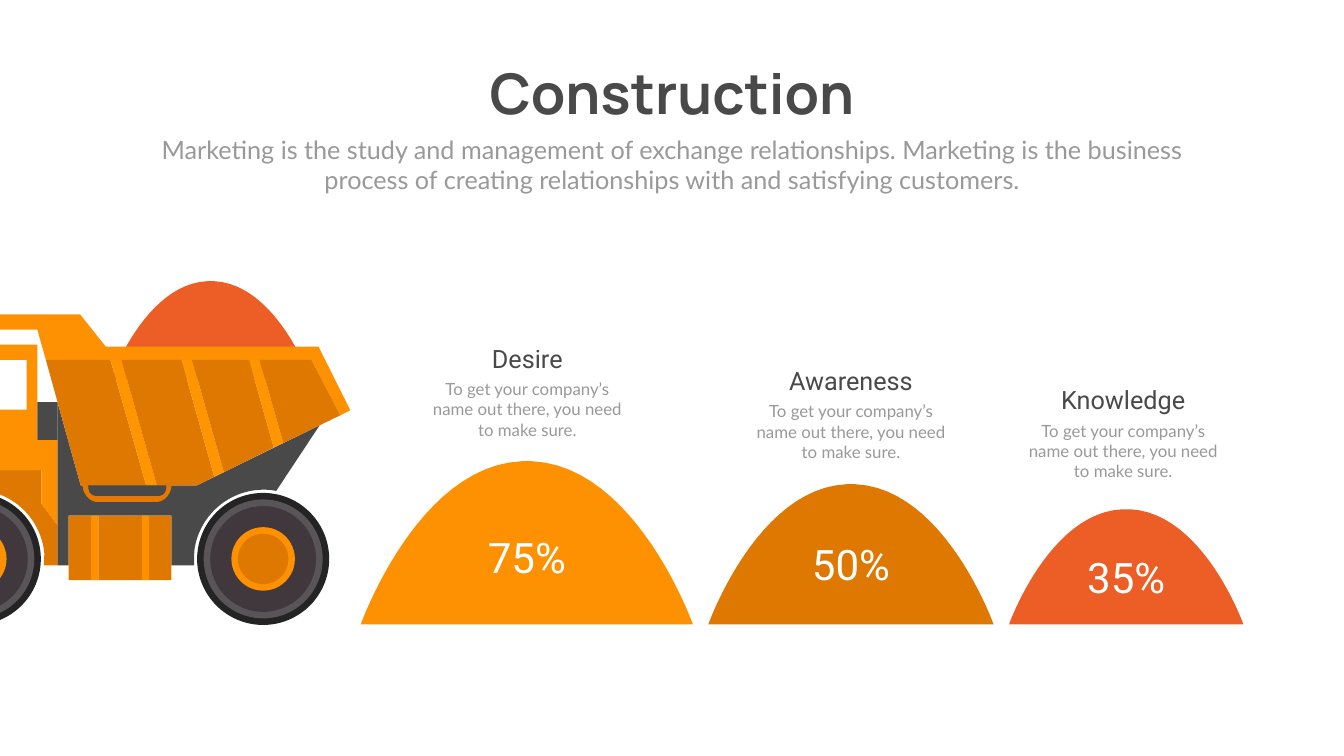
from pptx import Presentation
from pptx.dml.color import RGBColor
from pptx.enum.shapes import MSO_SHAPE
from pptx.enum.text import MSO_AUTO_SIZE, PP_ALIGN
from pptx.util import Cm, Pt

ORANGE, STRIPE, OCHRE, RED = "FE9101", "FF9500", "DE7800", "EC5E25"
GREY, LIGHT, WHITE = "494949", "999999", "FFFFFF"
CURVE_STEPS = 24

TITLE = dict(name="Manrope", size=Pt(80), bold=True)
INTRO = dict(name="Lato", size=Pt(36))
HEADING = dict(name="Roboto", size=Pt(36))
BODY = dict(name="Lato", size=Pt(24))
PERCENT = dict(name="Roboto", size=Pt(60))


def inch(value):
    return Cm(value * 2.54)


def rgb(code):
    return RGBColor.from_string(code)


def flatten(steps):
    """Turn (x, y) lines and (x1, y1, x2, y2, x, y) curves into points."""
    points = []
    for step in steps:
        if len(step) == 2:
            points.append(step)
            continue
        x0, y0 = points[-1]
        x1, y1, x2, y2, x3, y3 = step
        for i in range(1, CURVE_STEPS + 1):
            t = i / CURVE_STEPS
            a, b, c, d = (1 - t) ** 3, 3 * t * (1 - t) ** 2, 3 * t * t * (1 - t), t ** 3
            points.append((a * x0 + b * x1 + c * x2 + d * x3,
                           a * y0 + b * y1 + c * y2 + d * y3))
    return [(inch(x), inch(y)) for x, y in points]


class Drawing:
    def __init__(self, slide):
        self.s = slide

    def paint(self, sp, color):
        sp.shadow.inherit = False
        sp.fill.solid()
        sp.fill.fore_color.rgb = rgb(color)
        sp.line.fill.background()

    def text(self, x, y, w, h, words, color, style, wrap=True):
        sp = self.s.shapes.add_textbox(inch(x), inch(y), inch(w), inch(h))
        tf = sp.text_frame
        tf.word_wrap = wrap
        tf.auto_size = MSO_AUTO_SIZE.SHAPE_TO_FIT_TEXT
        p = tf.paragraphs[0]
        p.alignment = PP_ALIGN.CENTER
        r = p.add_run()
        r.text = words
        for key, value in style.items():
            setattr(r.font, key, value)
        r.font.color.rgb = rgb(color)

    def outline(self, color, *contours):
        first, *holes = [flatten(c) for c in contours]
        builder = self.s.shapes.build_freeform(*first[0], scale=1.0)
        builder.add_line_segments(first[1:])
        for hole in holes:
            builder.move_to(*hole[0])
            builder.add_line_segments(hole[1:])
        self.paint(builder.convert_to_shape(), color)

    def shape(self, kind, x, y, w, h, color):
        sp = self.s.shapes.add_shape(kind, inch(x), inch(y), inch(w), inch(h))
        self.paint(sp, color)

    def mound(self, center, base, width, color):
        half, height = width / 2, width * 0.4915
        top, shoulder = base - height, base - height * 0.97
        near, far = width * 0.016, width * 0.33
        self.outline(color, [
            (center - half, base),
            (center - half, base, center - far, shoulder, center - near, top),
            (center + near, top),
            (center + far, shoulder, center + half, base, center + half, base)])

    def wheel(self, cx, cy):
        rings = [(1.31, "242424"), (1.18, "595457"), (1.05, "41383D"),
                 (0.63, ORANGE), (0.5, OCHRE)]
        for radius, color in rings:
            if cx + radius > 0:  # only rings that reach onto the slide
                self.shape(MSO_SHAPE.OVAL, cx - radius, cy - radius,
                           2 * radius, 2 * radius, color)


def draw_truck(d):
    # Load and rim of the tipper
    d.mound(4.18, 7.53, 3.97, RED)
    d.outline(ORANGE,
              [(-1.98, 8.19), (-1.44, 6.84), (0.74, 6.84), (0.74, 8.73),
               (-3.13, 8.73), (-3.13, 8.44)],
              [(-1.34, 7.14), (-1.74, 8.13), (0.53, 8.13), (0.53, 7.14)])
    d.outline(ORANGE, [(6.32, 6.88), (6.95, 8.14), (6.75, 8.24), (6.18, 7.14),
                       (0.91, 7.14), (0.74, 6.54), (-2.04, 6.54), (-2.34, 6.24),
                       (1.59, 6.24), (2.1, 6.88)])

    # Chassis with the rear wheel arch
    d.outline(GREY, [(1.14, 7.98), (1.6, 9.63), (3.91, 9.63), (6.34, 8.44), (5.48, 9.74),
                     (4.74, 9.6, 4.02, 10.09, 3.87, 10.83),
                     (3.85, 10.93, 3.85, 11.05, 3.85, 11.22),
                     (3.4, 11.22), (3.4, 10.23), (1.36, 10.23), (1.36, 11.22),
                     (1.14, 11.22)])

    # Tipper panels and the stripes between them
    panels = [
        (OCHRE, [(0.91, 7.14), (2.19, 7.14), (2.9, 9.63), (1.6, 9.63)]),
        (STRIPE, [(2.19, 7.14), (2.41, 7.14), (3.11, 9.63), (2.9, 9.63)]),
        (OCHRE, [(2.41, 7.14), (3.6, 7.14), (4.25, 9.46), (3.91, 9.63), (3.11, 9.63)]),
        (STRIPE, [(3.6, 7.14), (3.81, 7.14), (4.44, 9.37), (4.25, 9.46)]),
        (OCHRE, [(3.81, 7.14), (4.94, 7.14), (5.43, 8.88), (4.44, 9.37)]),
        (STRIPE, [(4.94, 7.14), (5.15, 7.14), (5.62, 8.79), (5.43, 8.88)]),
        (OCHRE, [(5.15, 7.14), (6.18, 7.14), (6.75, 8.24), (5.62, 8.79)]),
    ]
    for color, points in panels:
        d.outline(color, points)

    # Handle below the tipper
    for color, left, right, bottom, bend in [("E57900", 1.64, 3.4, 9.96, 0.29),
                                             (GREY, 1.75, 3.3, 9.84, 0.17)]:
        d.outline(color, [
            (left, 9.63),
            (left, 9.8, left + bend / 2, bottom, left + bend, bottom),
            (right - bend, bottom),
            (right - bend / 2, bottom, right, 9.8, right, 9.63)])

    # Tank
    edges = [1.36, 1.81, 1.95, 2.82, 2.96, 3.4]
    for i, (left, right) in enumerate(zip(edges, edges[1:])):
        d.shape(MSO_SHAPE.RECTANGLE, left, 10.23, right - left, 1.28,
                ORANGE if i % 2 else OCHRE)

    # Cab with the front wheel arch
    d.outline(OCHRE, [(1.14, 10.42), (1.14, 11.22), (0.87, 11.22), (0.88, 10.98),
                      (0.81, 10.22, 0.14, 9.66, -0.62, 9.72),
                      (-1.29, 9.78, -1.83, 10.31, -1.88, 10.98),
                      (-1.88, 11.22), (-2.64, 11.22), (-1.62, 9.33), (0.82, 9.33),
                      (0.82, 9.99)])
    d.outline(ORANGE, [(1.14, 8.73), (1.14, 10.42), (0.82, 9.99), (0.82, 9.33),
                       (-1.62, 9.33), (-2.64, 11.22), (-2.64, 10.45), (-1.67, 8.73)])
    d.shape(MSO_SHAPE.RECTANGLE, 0.74, 7.98, 0.4, 0.75, GREY)

    # Wheels
    for cx in (-0.5, 5.22):
        d.wheel(cx, 11.09)


def main():
    prs = Presentation()
    prs.slide_width, prs.slide_height = inch(26.66), inch(15)
    d = Drawing(prs.slides.add_slide(prs.slide_layouts[6]))

    # Title and introduction
    d.text(9.44, 1.12, 7.78, 1.45, "Construction", GREY, TITLE, wrap=False)
    d.text(2.92, 2.61, 20.82, 1.31,
           "Marketing is the study and management of exchange relationships. "
           "Marketing is the business process of creating relationships with "
           "and satisfying customers.", LIGHT, INTRO)

    draw_truck(d)

    # Mounds: name, share, colour, centre, width, share top, text centre, text top
    mounds = [
        ("Desire", "75%", ORANGE, 10.45, 6.59, 10.5, 10.46, 6.76),
        ("Awareness", "50%", OCHRE, 16.88, 5.66, 10.63, 16.88, 7.2),
        ("Knowledge", "35%", RED, 22.34, 4.65, 10.89, 22.28, 7.58),
    ]
    for name, share, color, center, width, share_top, middle, top in mounds:
        d.mound(center, 12.39, width, color)
        d.text(center - 1.16, share_top, 2.32, 1.11, share, WHITE, PERCENT)
        d.text(middle - 1.63, top, 3.26, 0.71, name, GREY, HEADING)
        d.text(middle - 1.98, top + 0.71, 3.96, 1.31,
               "To get your company’s name out there, you need to make sure.",
               LIGHT, BODY)

    prs.save("out.pptx")


if __name__ == "__main__":
    main()
